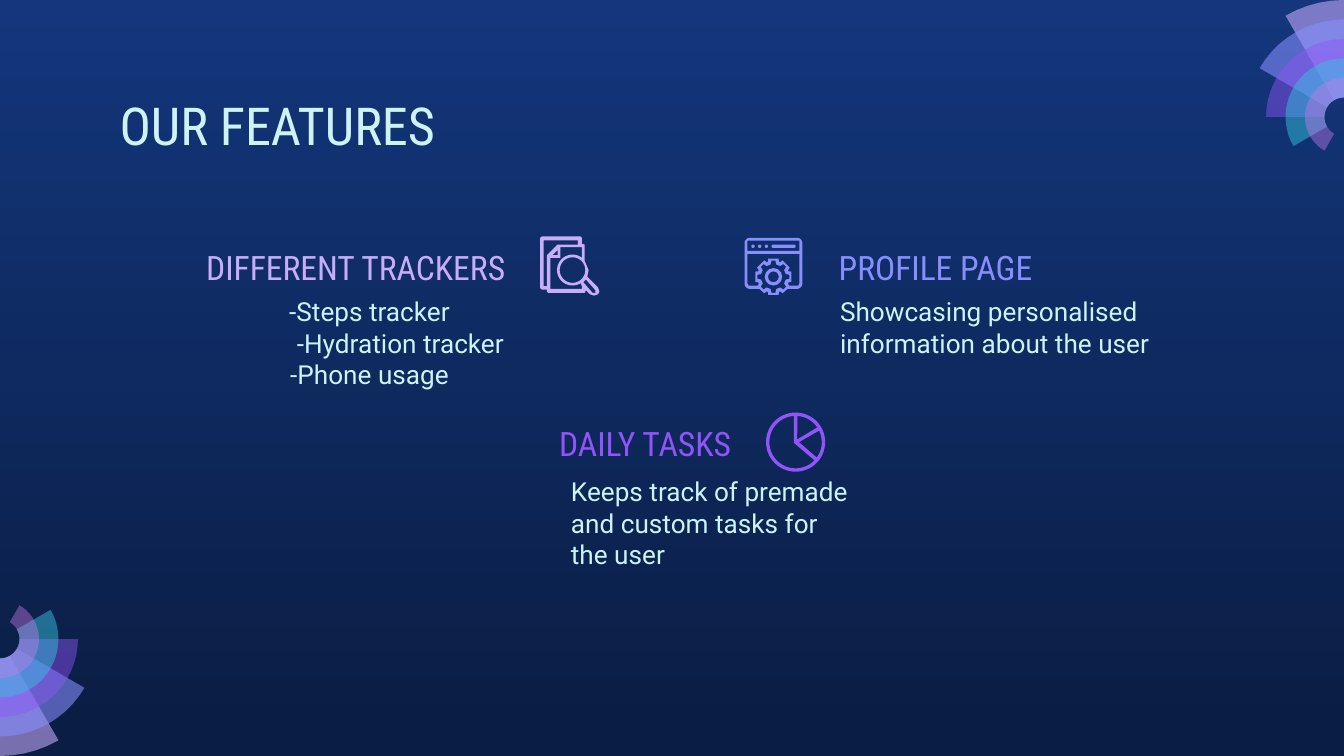
from math import cos, radians, sin

from lxml.etree import SubElement
from pptx import Presentation
from pptx.dml.color import RGBColor
from pptx.enum.shapes import MSO_SHAPE
from pptx.enum.text import MSO_ANCHOR, MSO_AUTO_SIZE, PP_ALIGN
from pptx.oxml.ns import qn
from pptx.util import Inches, Pt

COLUMNS = 1000
ROWS = COLUMNS * 9 / 16
CELL = Inches(10) / COLUMNS

PALE, LILAC, BLUE, VIOLET = "CEF3F5", "C8AEF8", "878FFF", "9154F8"
HEADING_FONT, BODY_FONT = "Roboto Condensed", "Roboto"
LEFT, CENTER, RIGHT = PP_ALIGN.LEFT, PP_ALIGN.CENTER, PP_ALIGN.RIGHT

RING_STEP = 14.5
RINGS = [("C8ACFD", 58), (BLUE, 58), (VIOLET, 46), ("35C2DF", 49), ("CA7BEB", 42)]


def cells(count):
    return round(count * CELL)


def color(value):
    return RGBColor.from_string(value)


def paint(shape, value, opacity=100):
    shape.shadow.inherit = False
    shape.line.fill.background()
    shape.fill.solid()
    shape.fill.fore_color.rgb = color(value)
    if opacity < 100:
        tint = shape._element.spPr.find(qn("a:solidFill"))[0]
        SubElement(tint, qn("a:alpha")).set("val", str(opacity * 1000))


def arc(center_x, center_y, radius, start, end):
    steps = max(4, round(abs(end - start) / 6))
    angles = [radians(start + (end - start) * step / steps) for step in range(steps + 1)]
    return [(center_x + radius * cos(a), center_y + radius * sin(a)) for a in angles]


def circle(center_x, center_y, radius):
    return arc(center_x, center_y, radius, 0, 360)


def box_points(left, top, right, bottom):
    return [(left, top), (right, top), (right, bottom), (left, bottom)]


def gear(center_x, center_y, outer, valley, top_angle, foot_angle, start):
    corners = [(valley, -foot_angle), (outer, -top_angle), (outer, top_angle), (valley, foot_angle)]
    points = []
    for tooth in range(8):
        for radius, offset in corners:
            angle = radians(start + 45 * tooth + offset)
            points.append((center_x + radius * cos(angle), center_y + radius * sin(angle)))
    return points


def add_outline(page, origin, contours, value, opacity=100):
    scaled = [[(cells(x), cells(y)) for x, y in contour] for contour in contours]
    builder = page.shapes.build_freeform(*scaled[0][0], scale=1.0)
    for number, contour in enumerate(scaled):
        if number:
            builder.move_to(*contour[0])
        builder.add_line_segments(contour[1:], close=True)
    shape = builder.convert_to_shape(cells(origin[0]), cells(origin[1]))
    paint(shape, value, opacity)


def add_preset(page, kind, at, value):
    shape = page.shapes.add_shape(kind, *map(cells, at))
    paint(shape, value)
    return shape


def add_fan(page, center_x, center_y, end):
    for number, (value, opacity) in enumerate(RINGS):
        start = end - 30 * (number + 1)
        outer = arc(0, 0, RING_STEP * (6 - number), start, end)
        inner = arc(0, 0, RING_STEP, end, start)
        add_outline(page, (center_x, center_y), [outer + inner], value, opacity)


def write(page, text, at, holder=None, size=14, font=BODY_FONT, value=PALE,
          aligns=(LEFT,), indents=(0,), anchor=MSO_ANCHOR.TOP):
    box = holder or page.shapes.add_textbox(0, 0, 0, 0)
    box.left, box.top, box.width, box.height = map(cells, at)
    frame = box.text_frame
    frame.text = text
    frame.word_wrap = True
    frame.auto_size = MSO_AUTO_SIZE.NONE
    frame.vertical_anchor = anchor
    frame.margin_left = frame.margin_right = cells(10)
    frame.margin_top = frame.margin_bottom = cells(10)
    for number, para in enumerate(frame.paragraphs):
        para.alignment = aligns[number % len(aligns)]
        para.space_before = para.space_after = Pt(0)
        properties = para._p.get_or_add_pPr()
        properties.set("marL", str(cells(indents[number % len(indents)])))
        properties.set("indent", "0")
        SubElement(properties, qn("a:buNone"))
        for span in para.runs:
            span.font.size = Pt(size)
            span.font.name = font
            span.font.bold = False
            span.font.color.rgb = color(value)


def write_heading(page, text, at, value, align=LEFT, holder=None):
    write(page, text, at, holder, size=18, font=HEADING_FONT, value=value,
          aligns=(align,), anchor=MSO_ANCHOR.MIDDLE)


def add_search_icon(page, origin):
    lens = (24, 25)
    fold = [(13, 10), (13, 14), (9, 14)]
    back_sheet = [(28, 3), (28, 6), (13, 6), (5, 14), (5, 37), (2.5, 37), (2.5, 3)]
    front_sheet = [(31, 8), *arc(*lens, 11.5, -52, -302), (31, 37), (31, 39),
                   (7.5, 39), (7.5, 16), (15, 16), (15, 8)]
    handle = [(34, 32), (41, 40), (41, 42), (39, 42), (32, 34)]
    silhouette = [(1, 0), (0, 1), (0, 38.5), (1, 39.5), (5, 39.5), (5, 41), (6, 42),
                  (33, 42), (34, 40), (37, 43), (40, 44), (43, 43), (44, 41), (43, 38),
                  (35, 30), (36, 25), (33, 18), (33, 6), (31, 5.5), (31, 1), (30, 0)]
    contours = [silhouette, fold, circle(*lens, 9.5), back_sheet, front_sheet, handle]
    add_outline(page, origin, contours, LILAC)


def add_pie_icon(page, origin):
    slices = [((23.2, 20), -86, -34), ((24.5, 22), -26, 36), ((20.8, 22.6), 44, 266)]
    holes = [[apex, *arc(22, 22, 19.5, start, end)] for apex, start, end in slices]
    add_outline(page, origin, [circle(22, 22, 22), *holes], VIOLET)


def add_settings_icon(page, origin):
    hub = (21.5, 29)
    left, top = origin
    gear_below = [p for p in gear(*hub, 14, 12, 16, 20, -90) if p[1] > 38]
    gear_above = [p for p in gear(*hub, 14, 12, 16, 20, 90) if p[1] < 35]
    window = [*gear_below, (11, 38), *arc(4, 34, 4, 90, 180), *arc(4, 4, 4, 180, 270),
              *arc(39, 4, 4, 270, 360), *arc(39, 34, 4, 0, 90), (32, 38)]
    pane = [*gear_above, (33, 35.5), (40, 35.5), (40.8, 34), (40.8, 12),
            (2.2, 12), (2.2, 34), (3, 35.5), (10, 35.5)]
    contours = [window, box_points(2.2, 2.2, 40.8, 9.8), pane, gear(*hub, 12, 9.4, 7, 13, 0)]
    add_outline(page, origin, contours, BLUE)
    for dot in range(3):
        add_preset(page, MSO_SHAPE.OVAL, (left + 5 + 5 * dot, top + 5, 2.5, 2.5), BLUE)
    bar = add_preset(page, MSO_SHAPE.ROUNDED_RECTANGLE, (left + 20, top + 5, 18, 2.5), BLUE)
    bar.adjustments[0] = 0.5
    ring = add_preset(page, MSO_SHAPE.DONUT, (left + 15, top + 22.5, 13, 13), BLUE)
    ring.adjustments[0] = 0.19


def main():
    deck = Presentation()
    deck.slide_width, deck.slide_height = cells(COLUMNS), cells(ROWS)
    page = deck.slides.add_slide(deck.slide_layouts.get_by_name("Comparison"))

    backdrop = page.background.fill
    backdrop.gradient()
    backdrop.gradient_angle = 270
    for stop, value in zip(backdrop.gradient_stops, ("13367C", "0A1D42")):
        stop.color.rgb = color(value)

    reach = 6 * RING_STEP
    add_fan(page, COLUMNS, reach, 270)
    add_fan(page, 0, ROWS - reach, 90)

    title, left_heading, left_body, right_heading, right_body = page.placeholders
    write(page, "OUR FEATURES", (79, 59, 843, 63), title, size=28, font=HEADING_FONT)
    write_heading(page, "DIFFERENT TRACKERS", (139, 177, 247, 43), LILAC, RIGHT, left_heading)
    write(page, "-Steps tracker\n-Hydration tracker\n-Phone usage", (155, 210, 230, 89),
          left_body, aligns=(CENTER, RIGHT, CENTER), indents=(10, 0, 10))
    write_heading(page, "PROFILE PAGE", (614, 177, 184, 43), BLUE, holder=right_heading)
    write(page, "Showcasing personalised information about the user",
          (615, 210, 280, 89), right_body)
    write_heading(page, "DAILY TASKS", (370, 308, 184, 43), VIOLET, RIGHT)
    write(page, "Keeps track of premade and custom tasks for the user", (415, 344, 230, 89))

    add_search_icon(page, (402, 176))
    add_pie_icon(page, (570, 307))
    add_settings_icon(page, (554, 177))
    deck.save("out.pptx")


if __name__ == "__main__":
    main()
